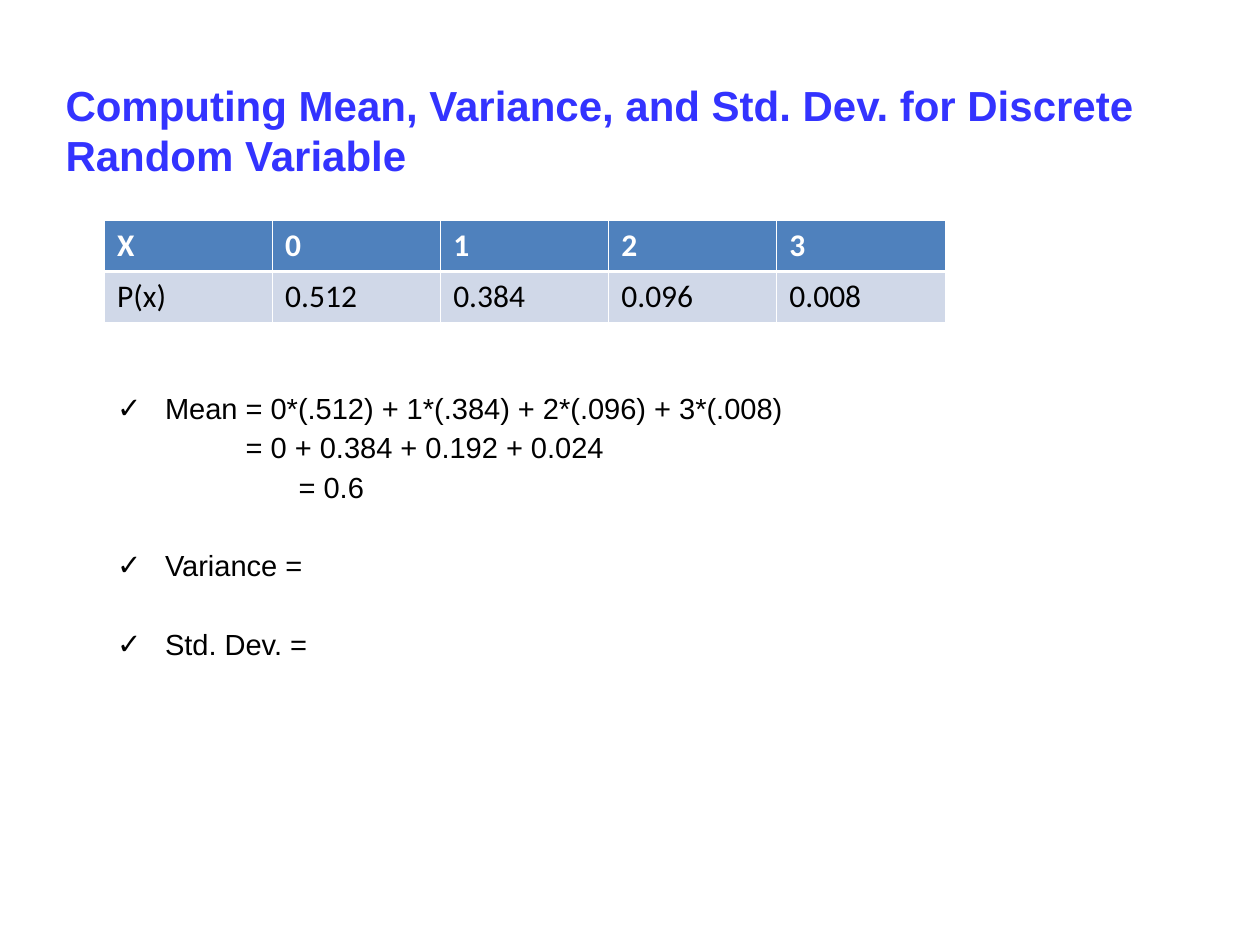
import pptx
import pptx.util
import pptx.dml.color
import pptx.enum.text
import pptx.oxml.ns
import lxml.etree

Inches = pptx.util.Inches
Pt = pptx.util.Pt

DISTRIBUTION = [
    ["X", "0", "1", "2", "3"],
    ["P(x)", "0.512", "0.384", "0.096", "0.008"],
]
# text, left margin in inches, space before in points, has a check mark
STEPS = [
    ("Mean = 0*(.512) + 1*(.384) + 2*(.096) + 3*(.008)", 0.38, 4.5, True),
    ("= 0 + 0.384 + 0.192 + 0.024", 1.02, 4.5, False),
    ("= 0.6", 1.44, 4.5, False),
    ("Variance =", 0.38, 27, True),
    ("Std. Dev. =", 0.38, 27, True),
]


def color(hex_code):
    return pptx.dml.color.RGBColor.from_string(hex_code)


def add_xml(parent, tag, **attributes):
    return lxml.etree.SubElement(parent, pptx.oxml.ns.qn(tag), attributes)


def add_run(paragraph, text, font, size, hex_code, bold=False):
    run = paragraph.add_run()
    run.text = text
    run.font.name = font
    run.font.size = Pt(size)
    run.font.bold = bold
    run.font.color.rgb = color(hex_code)


def place(placeholder, left, top, width, height):
    placeholder.left, placeholder.top = Inches(left), Inches(top)
    placeholder.width, placeholder.height = Inches(width), Inches(height)
    frame = placeholder.text_frame
    frame.word_wrap = True
    frame.auto_size = pptx.enum.text.MSO_AUTO_SIZE.NONE
    frame.vertical_anchor = pptx.enum.text.MSO_ANCHOR.TOP
    return frame


def write_title(title):
    frame = place(title, 0.42, 0.58, 9.17, 0.5)
    heading = frame.paragraphs[0]
    heading.alignment = pptx.enum.text.PP_ALIGN.LEFT
    add_run(heading, "Computing Mean, Variance, and Std. Dev. for Discrete "
            "Random Variable", "Arial", 24, "3333FF", bold=True)


def set_bullet(paragraph, margin, checked):
    """Indent the paragraph and give it a hanging check mark or no bullet."""
    properties = paragraph._p.get_or_add_pPr()
    properties.set("marL", str(Inches(margin)))
    properties.set("indent", str(Inches(-0.38 if checked else 0)))
    if checked:
        bullet_color = add_xml(properties, "a:buClr")
        add_xml(bullet_color, "a:srgbClr", val="000000")
        add_xml(properties, "a:buChar", char="✓")
    else:
        add_xml(properties, "a:buNone")


def write_steps(body):
    frame = place(body, 0.83, 3.08, 9, 2.53)
    for index, (text, margin, gap, checked) in enumerate(STEPS):
        step = frame.add_paragraph() if index else frame.paragraphs[0]
        step.line_spacing = 0.9
        step.space_before = Pt(gap)
        set_bullet(step, margin, checked)
        add_run(step, text, "Arial", 16.6, "000000")


def set_borders(cell, top, bottom):
    properties = cell._tc.get_or_add_tcPr()
    widths = {"a:lnL": 0.45, "a:lnR": 0.45, "a:lnT": top, "a:lnB": bottom}
    for position, (tag, width) in enumerate(widths.items()):
        line = add_xml(properties, tag, w=str(Pt(width)))
        add_xml(add_xml(line, "a:solidFill"), "a:srgbClr", val="FFFFFF")
        properties.insert(position, line)


def add_distribution(slide):
    table = slide.shapes.add_table(
        2, 5, Inches(0.83), Inches(1.75), Inches(6.67), Inches(0.81)).table
    for row, values in enumerate(DISTRIBUTION):
        header = row == 0
        for column, value in enumerate(values):
            cell = table.cell(row, column)
            cell.fill.solid()
            cell.fill.fore_color.rgb = color("4F81BD" if header else "D0D8E8")
            add_run(cell.text_frame.paragraphs[0], value, "Calibri", 18,
                    "FFFFFF" if header else "000000", bold=header)
            set_borders(cell, *((0.45, 1.47) if header else (1.47, 0.45)))


def main():
    presentation = pptx.Presentation()
    presentation.slide_width = Inches(10)
    presentation.slide_height = Inches(7.5)
    slide = presentation.slides.add_slide(presentation.slide_layouts[1])
    write_steps(slide.placeholders[1])
    add_distribution(slide)
    write_title(slide.shapes.title)
    presentation.save("out.pptx")


if __name__ == "__main__":
    main()
